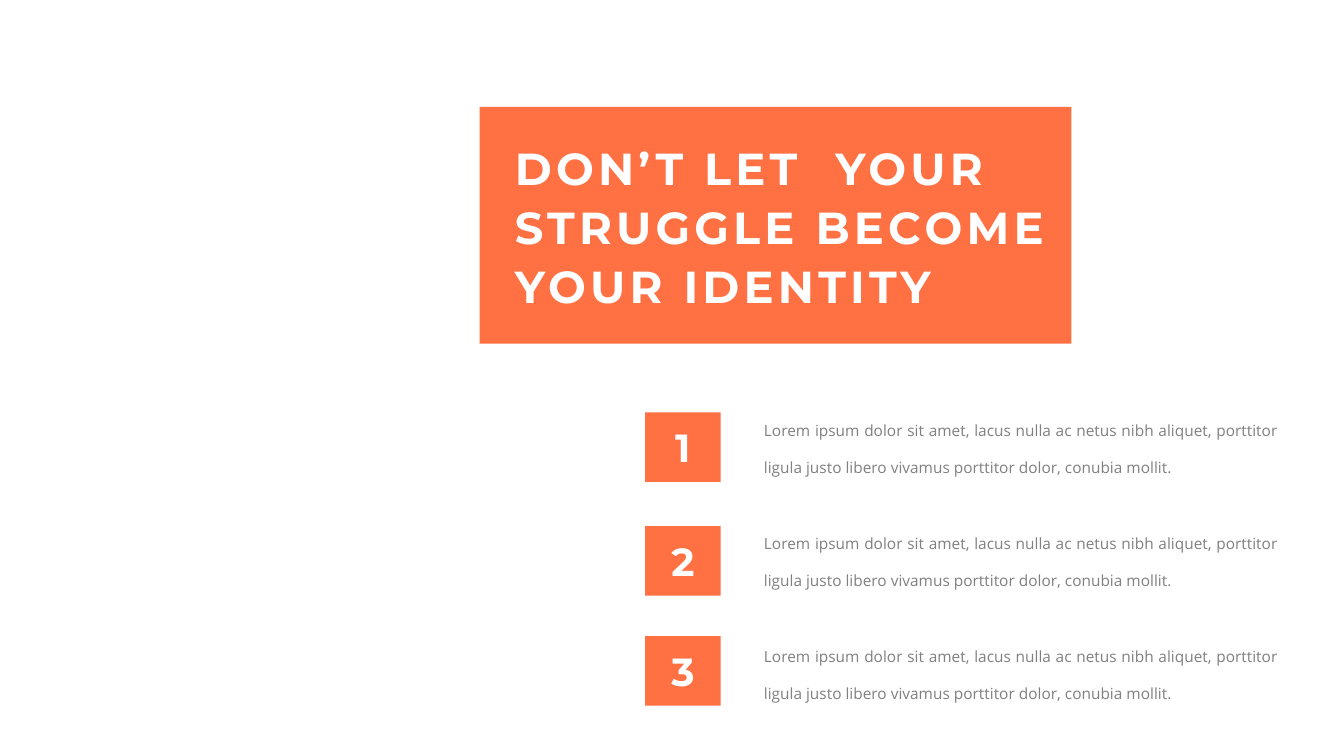
"""Build a slide with a banner headline and three numbered points."""
from pptx import Presentation
from pptx.dml.color import RGBColor
from pptx.enum.shapes import MSO_SHAPE as Shape
from pptx.enum.text import MSO_AUTO_SIZE as AutoSize, PP_ALIGN as Align
from pptx.util import Pt

ORANGE = RGBColor(0xFF, 0x70, 0x43)
WHITE = RGBColor(0xFF, 0xFF, 0xFF)
GRAY = RGBColor(0x80, 0x80, 0x80)

HEADLINE = ["DON’T LET  YOUR", "STRUGGLE BECOME", "YOUR IDENTITY"]
LOREM = ("Lorem ipsum dolor sit amet, lacus nulla ac netus nibh aliquet, "
         "porttitor ligula justo libero vivamus porttitor dolor, conubia mollit. ")
POINTS = [("1", LOREM, 294.5), ("2", LOREM, 375.8), ("3", LOREM, 454.3)]

BADGE_LEFT, BADGE_WIDTH, BADGE_HEIGHT = 460.8, 54, 49.7
NUMBER_SIDE = 41
BODY_LEFT, BODY_TOP, BODY_STEP = 538.6, 283.8, 81


def add_block(slide, left, top, width, height):
    block = slide.shapes.add_shape(
        Shape.RECTANGLE, Pt(left), Pt(top), Pt(width), Pt(height))
    block.shadow.inherit = False
    block.fill.solid()
    block.fill.fore_color.rgb = ORANGE
    block.line.fill.background()


def add_text(slide, lines, *, box, size, font="Montserrat", color=WHITE,
             bold=True, align=Align.LEFT, line_spacing=1.0, tracking=0):
    frame = slide.shapes.add_textbox(*map(Pt, box)).text_frame
    frame.word_wrap = True
    frame.auto_size = AutoSize.SHAPE_TO_FIT_TEXT
    frame.text = "\n".join(lines)
    for paragraph in frame.paragraphs:
        paragraph.alignment = align
        paragraph.line_spacing = line_spacing
        for run in paragraph.runs:
            run.font.size = Pt(size)
            run.font.name = font
            run.font.bold = bold
            run.font.color.rgb = color
            if tracking:
                run._r.get_or_add_rPr().set("spc", str(tracking * 100))


def main():
    deck = Presentation()
    deck.slide_width, deck.slide_height = Pt(960), Pt(540)
    slide = deck.slides.add_slide(deck.slide_layouts[6])

    add_block(slide, 342.7, 76.3, 422.6, 169.2)
    add_text(slide, HEADLINE, box=(360.7, 92.9, 404, 133.2), size=32,
             line_spacing=1.1, tracking=3)

    for row, (number, body, badge_top) in enumerate(POINTS):
        add_block(slide, BADGE_LEFT, badge_top, BADGE_WIDTH, BADGE_HEIGHT)
        number_left = BADGE_LEFT + (BADGE_WIDTH - NUMBER_SIDE) / 2
        number_top = badge_top + (BADGE_HEIGHT - NUMBER_SIDE) / 2
        add_text(slide, [number], size=28, align=Align.CENTER,
                 box=(number_left, number_top, NUMBER_SIDE, NUMBER_SIDE))
        add_text(slide, [body], size=11, font="Open Sans", color=GRAY,
                 bold=False, align=Align.JUSTIFY, line_spacing=2.0,
                 box=(BODY_LEFT, BODY_TOP + row * BODY_STEP, 381.6, 56.9))

    deck.save("out.pptx")


if __name__ == "__main__":
    main()
